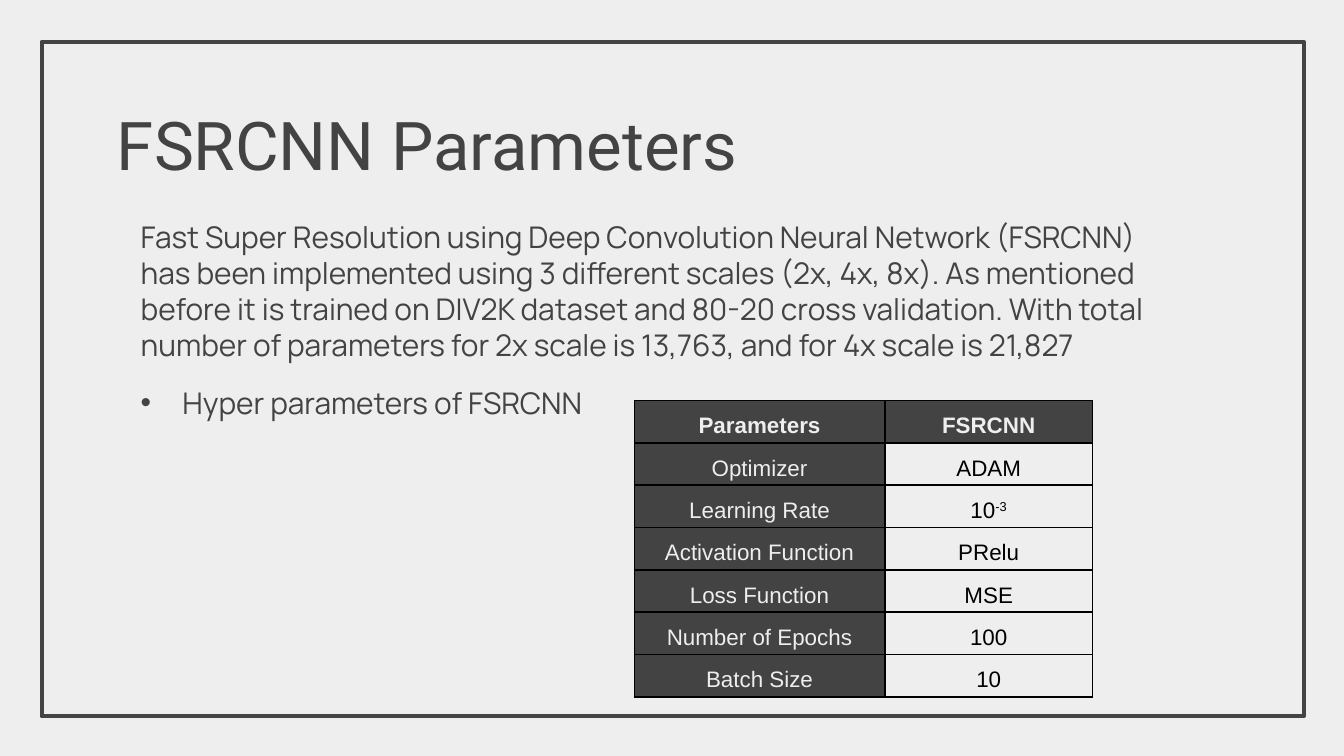
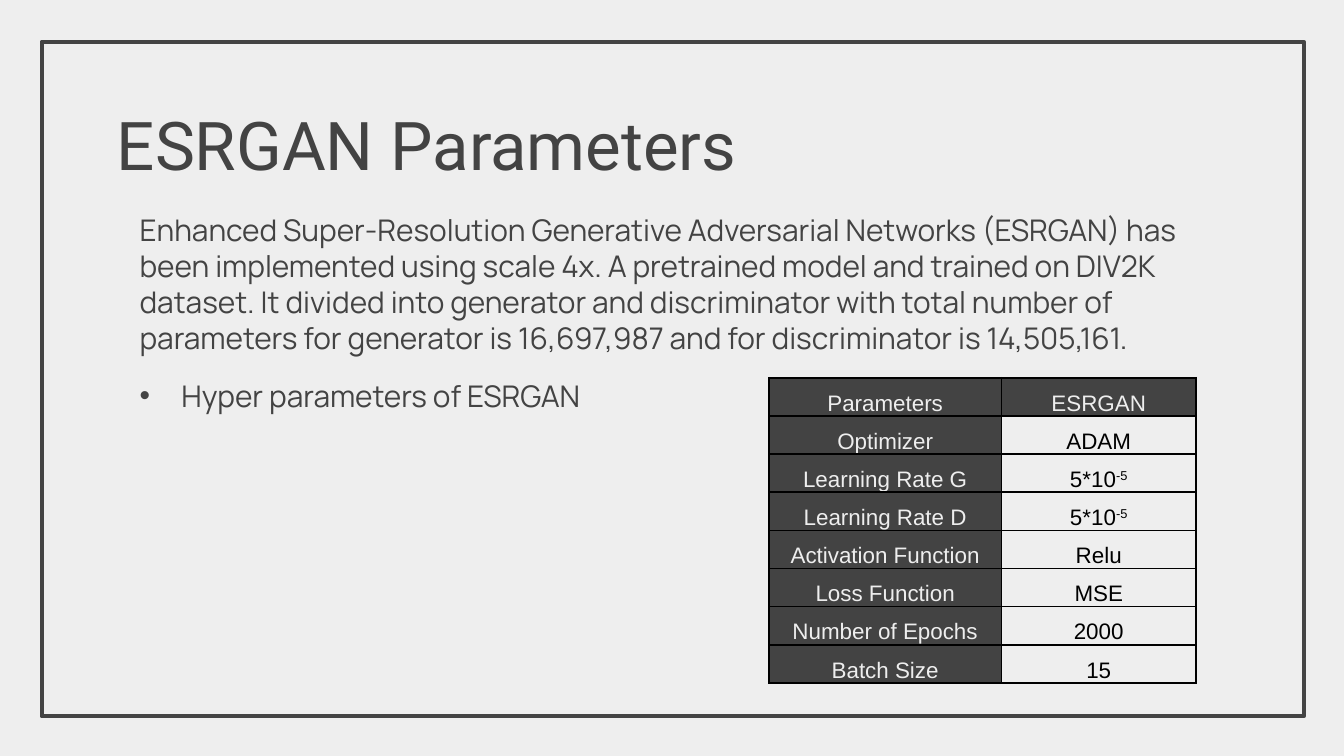
from dataclasses import dataclass

from lxml import etree
from pptx import Presentation
from pptx import util as u
from pptx.dml import color
from pptx.enum import shapes, text
from pptx.oxml import ns


@dataclass(frozen=True)
class Theme:
    dark: str = "434343"
    light: str = "EEEEEE"
    black: str = "000000"
    title_font: str = "Roboto"
    body_font: str = "Manrope"
    table_font: str = "Arial"
    title_size: int = 36
    body_size: int = 16
    table_size: int = 12
    frame_width: float = 2.25
    border_width: int = 1


def rgb(value):
    return color.RGBColor.from_string(value)


def child(parent, tag, **attrs):
    return etree.SubElement(parent, ns.qn(f"a:{tag}"), attrs)


def add_text(p, content, *, font, size, fill, bold=False, raised=False):
    r = p.add_run()
    r.text = content
    r.font.name = font
    r.font.size = u.Pt(size)
    r.font.color.rgb = rgb(fill)
    r.font.bold = bold
    if raised:
        r.font._element.set("baseline", "30000")
    return r


class Deck:
    def __init__(self, theme):
        self.theme = theme
        self.prs = Presentation()
        self.prs.slide_width = u.Cm(25.4)
        self.prs.slide_height = u.Cm(14.29)
        fill = self.prs.slide_master.background.fill
        fill.solid()
        fill.fore_color.rgb = rgb(theme.light)
        self.s = None

    def new_slide(self, title):
        self.s = self.prs.slides.add_slide(self.prs.slide_layouts[5])
        self.frame()
        self.title(title)

    def frame(self):
        sp = self.s.shapes.add_shape(
            shapes.MSO_SHAPE.RECTANGLE, u.Cm(0.79), u.Cm(0.79), u.Cm(23.85), u.Cm(12.75)
        )
        sp.shadow.inherit = False
        sp.fill.background()
        sp.line.color.rgb = rgb(self.theme.dark)
        sp.line.width = u.Pt(self.theme.frame_width)

    def prepare(self, sp):
        tf = sp.text_frame
        tf.word_wrap = True
        tf.auto_size = text.MSO_AUTO_SIZE.NONE
        tf.vertical_anchor = text.MSO_ANCHOR.TOP
        tf.margin_left = tf.margin_right = u.Cm(0.25)
        tf.margin_top = tf.margin_bottom = u.Cm(0.25)
        return tf

    def title(self, content):
        t = self.theme
        sp = self.s.shapes.title
        sp.left, sp.top = u.Cm(1.96), u.Cm(1.7)
        sp.width, sp.height = u.Cm(20.1), u.Cm(2.06)
        p = self.prepare(sp).paragraphs[0]
        p.alignment = text.PP_ALIGN.LEFT
        add_text(p, content, font=t.title_font, size=t.title_size, fill=t.dark)

    def body(self, left, top, intro, bullet):
        t = self.theme
        sp = self.s.shapes.add_textbox(u.Cm(left), u.Cm(top), u.Cm(20.65), u.Cm(8.4))
        tf = self.prepare(sp)
        style = dict(font=t.body_font, size=t.body_size, fill=t.dark)
        p = tf.paragraphs[0]
        p._p.get_or_add_pPr().set("marL", str(u.Cm(0.43)))
        add_text(p, intro, **style)

        p = tf.add_paragraph()
        pPr = p._p.get_or_add_pPr()
        pPr.set("marL", str(u.Cm(1.22)))
        pPr.set("indent", str(u.Cm(-0.79)))
        child(child(pPr, "buClr"), "srgbClr", val=t.dark)
        child(pPr, "buFont", typeface="Arial")
        child(pPr, "buChar", char="•")
        p.space_before = u.Pt(12)
        add_text(p, bullet, **style)

    def table(self, left, top, widths, row_height, rows, bold_header):
        sp = self.s.shapes.add_table(
            len(rows), len(widths), u.Cm(left), u.Cm(top),
            u.Cm(sum(widths)), u.Cm(row_height * len(rows)),
        )
        table = sp.table
        table.first_row = table.horz_banding = False
        for column, width in zip(table.columns, widths):
            column.width = u.Cm(width)
        for i, row in enumerate(rows):
            table.rows[i].height = u.Cm(row_height)
            for j, content in enumerate(row):
                self.cell(table.cell(i, j), content, dark=i == 0 or j == 0,
                          bold=bold_header and i == 0, after=4 if i else 0)

    def cell(self, cell, content, dark, bold, after):
        t = self.theme
        cell.margin_left = cell.margin_right = u.Cm(0.18)
        cell.margin_top = cell.margin_bottom = 0
        cell.vertical_anchor = text.MSO_ANCHOR.TOP
        self.borders(cell)
        if dark:
            cell.fill.solid()
            cell.fill.fore_color.rgb = rgb(t.dark)
        else:
            cell.fill.background()
        p = cell.text_frame.paragraphs[0]
        p.alignment = text.PP_ALIGN.CENTER
        p.line_spacing = 1.52
        p.space_after = u.Pt(after)
        style = dict(font=t.table_font, size=t.table_size,
                     fill=t.light if dark else t.black, bold=bold)
        base, _, exponent = content.partition("^")
        add_text(p, base, **style)
        if exponent:
            add_text(p, exponent, raised=True, **style)

    def borders(self, cell):
        tcPr = cell._tc.get_or_add_tcPr()
        for side in ("lnL", "lnR", "lnT", "lnB"):
            ln = child(tcPr, side, w=str(u.Pt(self.theme.border_width)))
            child(child(ln, "solidFill"), "srgbClr", val=self.theme.black)


def main():
    deck = Deck(Theme())

    deck.new_slide("FSRCNN Parameters")
    deck.body(
        1.98, 3.89,
        "Fast Super Resolution using Deep Convolution Neural Network (FSRCNN) has been "
        "implemented using 3 different scales (2x, 4x, 8x). As mentioned before it is "
        "trained on DIV2K dataset and 80-20 cross validation. With total number of "
        "parameters for 2x scale is 13,763, and for 4x scale is 21,827",
        "Hyper parameters of FSRCNN",
    )
    deck.table(11.99, 7.57, (4.73, 3.93), 0.8, (
        ("Parameters", "FSRCNN"),
        ("Optimizer", "ADAM"),
        ("Learning Rate", "10^-3"),
        ("Activation Function", "PRelu"),
        ("Loss Function", "MSE"),
        ("Number of Epochs", "100"),
        ("Batch Size", "10"),
    ), bold_header=True)

    deck.new_slide("ESRGAN Parameters")
    deck.body(
        1.96, 3.76,
        "Enhanced Super-Resolution Generative Adversarial Networks (ESRGAN) has been "
        "implemented using scale 4x. A pretrained model and trained on DIV2K dataset. "
        "It divided into generator and discriminator with total number of parameters "
        "for generator is 16,697,987 and for discriminator is 14,505,161.",
        "Hyper parameters of ESRGAN",
    )
    deck.table(14.53, 7.14, (4.4, 3.67), 0.72, (
        ("Parameters", "ESRGAN"),
        ("Optimizer", "ADAM"),
        ("Learning Rate G", "5*10^-5"),
        ("Learning Rate D", "5*10^-5"),
        ("Activation Function", "Relu"),
        ("Loss Function", "MSE"),
        ("Number of Epochs", "2000"),
        ("Batch Size", "15"),
    ), bold_header=False)

    deck.prs.save("out.pptx")


if __name__ == "__main__":
    main()
